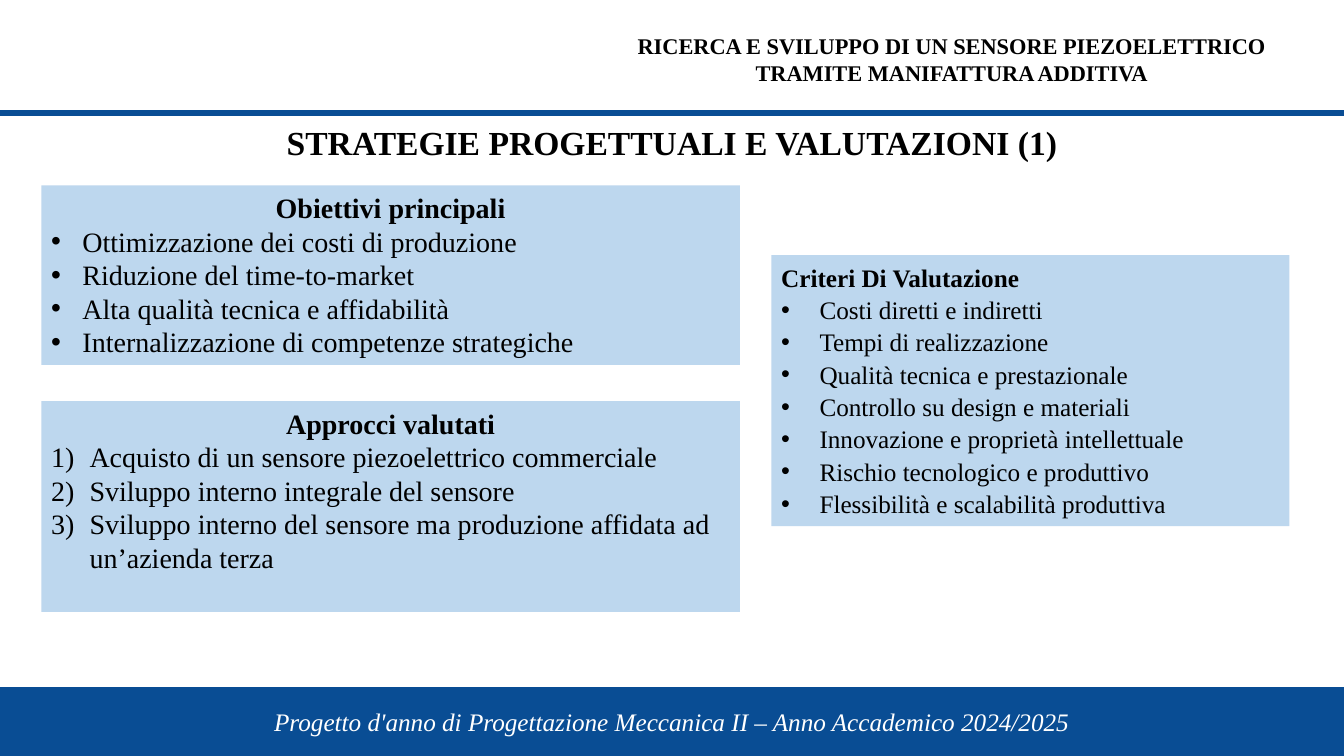
from lxml import etree
from pptx import Presentation, util as u
from pptx.dml.color import RGBColor
from pptx.enum import shapes, text
from pptx.oxml.ns import qn

HEADER = "RICERCA E SVILUPPO DI UN SENSORE PIEZOELETTRICO TRAMITE MANIFATTURA ADDITIVA"
TITLE = "STRATEGIE PROGETTUALI E VALUTAZIONI (1)"
FOOTER = "Progetto d'anno di Progettazione Meccanica II – Anno Accademico 2024/2025"
PANELS = [
    dict(heading="Obiettivi principali", column=0, top=1.84, height=1.78,
         size=20, align="CENTER", spacing=1.0, indent=0.31, bullet="•",
         items=["Ottimizzazione dei costi di produzione",
                "Riduzione del time-to-market",
                "Alta qualità tecnica e affidabilità",
                "Internalizzazione di competenze strategiche"]),
    dict(heading="Approcci valutati", column=0, top=3.98, height=2.09,
         size=20, align="CENTER", spacing=1.0, indent=0.38, bullet=None,
         items=["Acquisto di un sensore piezoelettrico commerciale",
                "Sviluppo interno integrale del sensore",
                "Sviluppo interno del sensore ma produzione affidata ad un’azienda terza"]),
    dict(heading="Criteri Di Valutazione", column=1, top=2.53, height=2.69,
         size=18, align="LEFT", spacing=1.07, indent=0.38, bullet="•",
         items=["Costi diretti e indiretti",
                "Tempi di realizzazione",
                "Qualità tecnica e prestazionale",
                "Controllo su design e materiali",
                "Innovazione e proprietà intellettuale",
                "Rischio tecnologico e produttivo",
                "Flessibilità e scalabilità produttiva"]),
]

WIDTH, HEIGHT = 13.33, 7.5
COLUMNS = [(0.41, 6.93), (7.65, 5.14)]
RULE_Y, FOOTER_HEIGHT = 1.12, 0.68
BLUE, PALE, BLACK, WHITE = "094D94", "BDD7EE", "000000", "FFFFFF"
FONT = "Times New Roman"


def color(value):
    return RGBColor.from_string(value)


def box(*lengths):
    return [u.Inches(length) for length in lengths]


def write(paragraph, content, size, align="LEFT", ink=BLACK, bold=False, italic=False):
    paragraph.alignment = getattr(text.PP_ALIGN, align)
    run = paragraph.add_run()
    run.text = content
    font = run.font
    font.name, font.size = FONT, u.Pt(size)
    font.bold, font.italic = bold, italic
    font.color.rgb = color(ink)


def set_frame(shape, anchor="TOP", wrap=True):
    frame = shape.text_frame
    frame.word_wrap = wrap
    frame.auto_size = text.MSO_AUTO_SIZE.NONE
    frame.vertical_anchor = getattr(text.MSO_ANCHOR, anchor)
    return frame


def add_rectangle(slide, left, top, width, height, fill):
    shape = slide.shapes.add_shape(shapes.MSO_SHAPE.RECTANGLE, *box(left, top, width, height))
    shape.shadow.inherit = False
    shape.fill.solid()
    shape.fill.fore_color.rgb = color(fill)
    shape.line.fill.background()
    return shape


def add_bullet(paragraph, indent, bullet):
    properties = paragraph._p.get_or_add_pPr()
    properties.set("marL", str(u.Inches(indent)))
    properties.set("indent", str(-u.Inches(indent)))
    if bullet:
        etree.SubElement(properties, qn("a:buFont"), typeface="Arial")
        etree.SubElement(properties, qn("a:buChar"), char=bullet)
    else:
        etree.SubElement(properties, qn("a:buFont"), typeface="+mj-lt")
        etree.SubElement(properties, qn("a:buAutoNum"), type="arabicParenR")


def add_panel(slide, panel):
    left, width = COLUMNS[panel["column"]]
    shape = add_rectangle(slide, left, panel["top"], width, panel["height"], PALE)
    frame = set_frame(shape)
    heading = frame.paragraphs[0]
    heading.line_spacing = panel["spacing"]
    write(heading, panel["heading"], panel["size"], panel["align"], bold=True)
    for item in panel["items"]:
        paragraph = frame.add_paragraph()
        add_bullet(paragraph, panel["indent"], panel["bullet"])
        paragraph.line_spacing = panel["spacing"]
        write(paragraph, item, panel["size"])


def main():
    presentation = Presentation()
    presentation.slide_width, presentation.slide_height = box(WIDTH, HEIGHT)
    slide = presentation.slides.add_slide(presentation.slide_layouts[5])

    rule = slide.shapes.add_connector(
        shapes.MSO_CONNECTOR.STRAIGHT, *box(0, RULE_Y, WIDTH, RULE_Y))
    rule.line.color.rgb = color(BLUE)
    rule.line.width = u.Pt(4)
    etree.SubElement(rule._element.spPr, qn("a:effectLst"))

    footer = add_rectangle(slide, 0, HEIGHT - FOOTER_HEIGHT, WIDTH, FOOTER_HEIGHT, BLUE)
    footer.line.color.rgb = color(BLUE)
    footer.line.width = u.Pt(1)
    write(set_frame(footer, "MIDDLE").paragraphs[0], FOOTER, 18, "CENTER", WHITE, italic=True)

    header = slide.shapes.add_textbox(*box(5.87, 0.27, 7.14, 0.64))
    write(set_frame(header).paragraphs[0], HEADER, 16, "CENTER", bold=True)

    title = slide.shapes.title
    title_width = 7.92
    title.left, title.top, title.width, title.height = box(
        (WIDTH - title_width) / 2, 1.16, title_width, 0.5)
    write(set_frame(title, wrap=False).paragraphs[0], TITLE, 24, "CENTER", bold=True)

    for panel in PANELS:
        add_panel(slide, panel)

    presentation.save("out.pptx")


if __name__ == "__main__":
    main()
